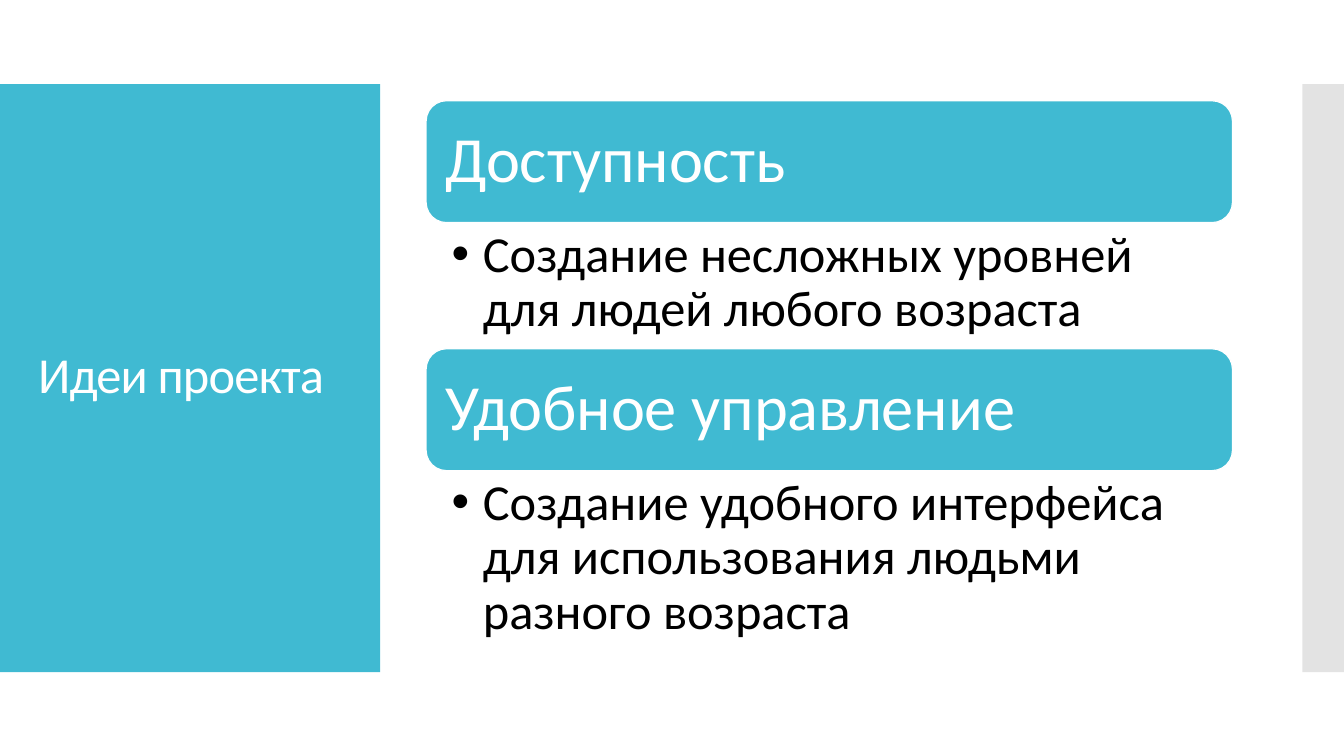
import pptx
import pptx.dml.color
import pptx.enum.shapes
import pptx.enum.text
import pptx.oxml.ns
import pptx.util
from lxml import etree

Cm, Pt = pptx.util.Cm, pptx.util.Pt
MSO_SHAPE = pptx.enum.shapes.MSO_SHAPE
ANCHOR = pptx.enum.text.MSO_ANCHOR
qn = pptx.oxml.ns.qn

TEAL, GREY, WHITE, BLACK = "40BAD2", "C8C8C8", "FFFFFF", "000000"
LEFT, WIDTH, HEADING_HEIGHT = Cm(10.74), Cm(20.32), Cm(3.07)
IDEAS = [
    ("Доступность",
     "Создание несложных уровней для людей любого возраста", Cm(3.18)),
    ("Удобное управление",
     "Создание удобного интерфейса для использования людьми разного возраста", Cm(4.62)),
]


def rgb(color):
    return pptx.dml.color.RGBColor.from_string(color)


def write(sp, text, size, color, anchor, insets):
    """Fill a shape with one left-aligned paragraph; insets are left, top, right, bottom in cm."""
    tf = sp.text_frame
    tf.text = text
    tf.word_wrap = True
    tf.auto_size = pptx.enum.text.MSO_AUTO_SIZE.NONE
    tf.vertical_anchor = anchor
    tf.margin_left, tf.margin_top, tf.margin_right, tf.margin_bottom = map(Cm, insets)
    p = tf.paragraphs[0]
    p.alignment = pptx.enum.text.PP_ALIGN.LEFT
    p.line_spacing = 0.9
    font = p.runs[0].font
    font.name, font.size = "Calibri", Pt(size)
    font.color.rgb = rgb(color)
    return p


prs = pptx.Presentation()
prs.slide_width, prs.slide_height = Cm(33.87), Cm(19.05)
s = prs.slides.add_slide(prs.slide_layouts[5])

# Side panels
for left, width, color in [(0, 9.58, TEAL), (32.82, 1.05, GREY)]:
    panel = s.shapes.add_shape(MSO_SHAPE.RECTANGLE, Cm(left), Cm(2.12), Cm(width), Cm(14.82))
    panel.shadow.inherit = False
    panel.fill.solid()
    panel.fill.fore_color.rgb = rgb(color)
    panel.line.fill.background()
    if color == GREY:
        srgb = panel.element.spPr.find(qn("a:solidFill")).find(qn("a:srgbClr"))
        etree.SubElement(srgb, qn("a:alpha"), val="50000")

# Title, brought in front of the teal panel
title = s.shapes.title
title.left, title.top, title.width, title.height = Cm(0.71), Cm(3.12), Cm(8.18), Cm(12.78)
p = write(title, "Идеи проекта", 36, WHITE, ANCHOR.MIDDLE, (0.25, 0.13, 0.25, 0.13))
p.runs[0].font.element.set("spc", "-60") if hasattr(p.runs[0].font, "element") else \
    p.runs[0]._r.get_or_add_rPr().set("spc", "-60")
s.shapes.element.append(title.element)

# Ideas: heading bar with its bullet below, stacked without gaps
top = Cm(2.54)
for heading, detail, detail_height in IDEAS:
    bar = s.shapes.add_shape(MSO_SHAPE.ROUNDED_RECTANGLE, LEFT, top, WIDTH, HEADING_HEIGHT)
    bar.shadow.inherit = False
    bar.fill.solid()
    bar.fill.fore_color.rgb = rgb(TEAL)
    bar.line.color.rgb = rgb(WHITE)
    bar.line.width = Pt(0.85)
    write(bar, heading, 46, WHITE, ANCHOR.MIDDLE, (0.33, 0.33, 0.33, 0.33))
    top += HEADING_HEIGHT

    box = s.shapes.add_textbox(LEFT, top, WIDTH, detail_height)
    p = write(box, detail, 36, BLACK, ANCHOR.TOP, (0.64, 0.15, 0.91, 0.15))
    pPr = p.runs[0].font._element.getparent().getparent().find(qn("a:pPr"))
    pPr.set("marL", str(Cm(0.79)))
    pPr.set("indent", str(-Cm(0.79)))
    etree.SubElement(pPr, qn("a:buFont"), typeface="Arial")
    etree.SubElement(pPr, qn("a:buChar"), char="•")
    top += detail_height

prs.save("out.pptx")
